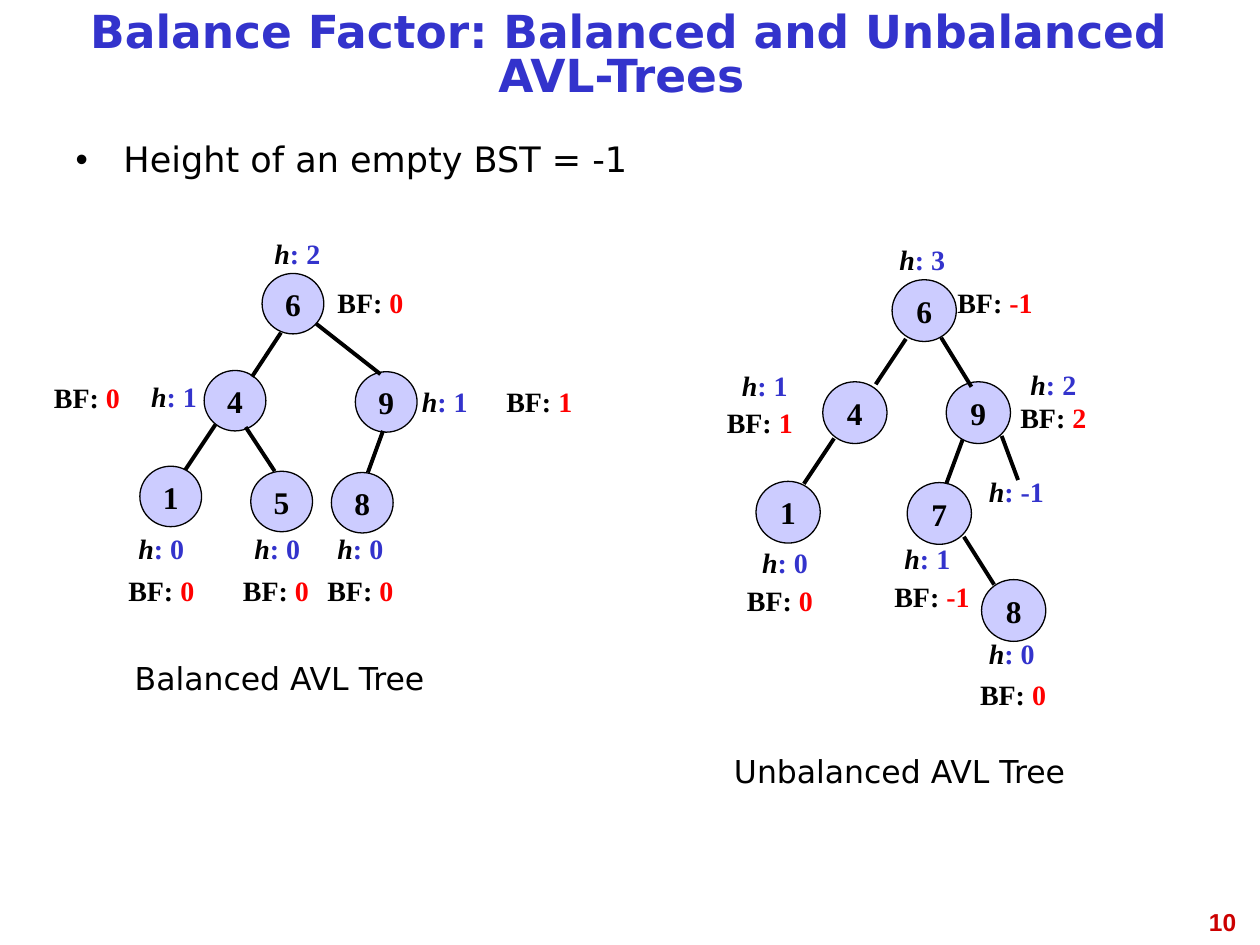
from dataclasses import dataclass
from typing import NamedTuple

from lxml import etree
from pptx import Presentation
from pptx import util as u
from pptx.dml.color import RGBColor
from pptx.enum import shapes, text
from pptx.oxml.ns import qn

COLUMNS, ROWS = 100, 75  # grid over the whole slide
LABEL_ROWS = 3.7


@dataclass(frozen=True)
class Theme:
    ink: RGBColor = RGBColor(0, 0, 0)
    blue: RGBColor = RGBColor(0x33, 0x33, 0xCC)
    red: RGBColor = RGBColor(0xFF, 0, 0)
    page_number: RGBColor = RGBColor(0xCC, 0, 0)
    node_fill: RGBColor = RGBColor(0xCC, 0xCC, 0xFF)
    heading_font: str = "DejaVu Sans"
    tree_font: str = "Times New Roman"
    number_font: str = "Arial"
    title_size: int = 26
    body_size: int = 20
    node_size: int = 18
    label_size: int = 16
    number_size: int = 14
    outline: float = 0.75
    edge: float = 2.25


THEME = Theme()


class Area(NamedTuple):
    column: float
    row: float
    columns: float
    rows: float


class Node(NamedTuple):
    key: int
    column: float
    row: float


class Edge(NamedTuple):
    start_column: float
    start_row: float
    end_column: float
    end_row: float


class Label(NamedTuple):
    value: int
    column: float
    row: float


@dataclass(frozen=True)
class Tree:
    caption: str
    caption_area: Area
    node_columns: float
    node_rows: float
    nodes: list[Node]
    edges: list[Edge]
    heights: list[Label]
    factors: list[Label]


BALANCED = Tree(
    "Balanced AVL Tree", Area(7.5, 51.8, 29.4, 4), 4.9, 4.8,
    nodes=[Node(6, 20.8, 21.7), Node(4, 16.2, 29.4), Node(1, 11.1, 37),
           Node(9, 28.2, 29.5), Node(5, 19.9, 37.4), Node(8, 26.3, 37.5)],
    edges=[Edge(22.3, 26.4, 20, 29.9), Edge(25.1, 25.7, 30.2, 29.7),
           Edge(17.1, 33.7, 14.7, 37.3), Edge(19.5, 33.9, 21.8, 37.4),
           Edge(30.4, 34.2, 29.2, 37.5)],
    heights=[Label(0, 10, 41.7), Label(0, 19.2, 41.7), Label(0, 25.8, 41.7),
             Label(1, 11, 29.6), Label(1, 32.5, 30), Label(2, 20.8, 18.3)],
    factors=[Label(0, 9.2, 45), Label(0, 18.3, 45), Label(0, 25, 45),
             Label(0, 3.3, 29.7), Label(1, 39.2, 30), Label(0, 25.8, 22.2)],
)
UNBALANCED = Tree(
    "Unbalanced AVL Tree", Area(56.7, 59.2, 29.4, 4), 5.1, 4.9,
    nodes=[Node(6, 70.8, 22.2), Node(4, 65.3, 30.3), Node(1, 60, 38.2),
           Node(9, 75.1, 30.3), Node(7, 72, 38.3), Node(8, 77.9, 46)],
    edges=[Edge(71.9, 26.9, 69.5, 30.5), Edge(74.7, 26.8, 77.1, 30.7),
           Edge(66.2, 34.8, 63.8, 38.4), Edge(76.4, 34.9, 75.1, 38.4),
           Edge(76.5, 42.6, 78.9, 46.4), Edge(79.5, 34.6, 80.8, 38.1)],
    heights=[Label(0, 59.5, 42.8), Label(1, 70.8, 42.5), Label(0, 77.5, 50),
             Label(1, 57.9, 28.8), Label(-1, 77.5, 37.2), Label(2, 80.8, 28.7),
             Label(3, 70.4, 18.8)],
    factors=[Label(0, 58.3, 45.8), Label(-1, 70, 45.5), Label(0, 76.8, 53.3),
             Label(1, 56.7, 31.7), Label(2, 80, 31.3), Label(-1, 75, 22.2)],
)

deck = Presentation()
deck.slide_width, deck.slide_height = u.Inches(10), u.Inches(7.5)
page = deck.slides.add_slide(deck.slide_layouts[1])


def across(columns: float) -> int:
    return round(deck.slide_width * columns / COLUMNS)


def down(rows: float) -> int:
    return round(deck.slide_height * rows / ROWS)


def frame(area: Area) -> tuple[int, int, int, int]:
    return across(area.column), down(area.row), across(area.columns), down(area.rows)


def set_font(font, name: str, size: float, color: RGBColor, bold: bool = False) -> None:
    font.name, font.size, font.bold = name, u.Pt(size), bold
    font.color.rgb = color


def fill_placeholder(box, area: Area, words: str, anchor):
    """Move a placeholder, write its text and return the paragraph."""
    box.left, box.top, box.width, box.height = frame(area)
    box.text_frame.text = words
    box.text_frame.auto_size = text.MSO_AUTO_SIZE.NONE
    box.text_frame.vertical_anchor = anchor
    para = box.text_frame.paragraphs[0]
    para.space_before = u.Pt(0)
    return para


def add_text(area: Area, words: str = "", align=text.PP_ALIGN.LEFT):
    """Add a wrapping text box and return its paragraph."""
    box = page.shapes.add_textbox(*frame(area))
    box.text_frame.word_wrap = True
    para = box.text_frame.paragraphs[0]
    para.alignment = align
    if words:
        para.add_run().text = words
    return para


def draw_label(label: Label, name: str, separator: str, columns: float,
               color: RGBColor, italic: bool) -> None:
    para = add_text(Area(label.column, label.row, columns, LABEL_ROWS))
    set_font(para.font, THEME.tree_font, THEME.label_size, THEME.ink, bold=True)
    parts = ((name, THEME.ink, italic), (f"{separator}{label.value}", color, False))
    for words, ink, slanted in parts:
        span = para.add_run()
        span.text = words
        set_font(span.font, THEME.tree_font, THEME.label_size, ink, bold=True)
        span.font.italic = slanted


def draw_node(node: Node, columns: float, rows: float) -> None:
    circle = page.shapes.add_shape(
        shapes.MSO_SHAPE.OVAL, *frame(Area(node.column, node.row, columns, rows)))
    circle.shadow.inherit = False
    circle.fill.solid()
    circle.fill.fore_color.rgb = THEME.node_fill
    circle.line.color.rgb = THEME.ink
    circle.line.width = u.Pt(THEME.outline)
    circle.text_frame.word_wrap = False
    circle.text_frame.vertical_anchor = text.MSO_ANCHOR.MIDDLE
    para = circle.text_frame.paragraphs[0]
    para.alignment = text.PP_ALIGN.CENTER
    para.add_run().text = str(node.key)
    set_font(para.font, THEME.tree_font, THEME.node_size, THEME.ink, bold=True)


def draw_edge(edge: Edge) -> None:
    line = page.shapes.add_connector(
        shapes.MSO_CONNECTOR.STRAIGHT,
        across(edge.start_column), down(edge.start_row),
        across(edge.end_column), down(edge.end_row))
    line.line.color.rgb = THEME.ink
    line.line.width = u.Pt(THEME.edge)
    etree.SubElement(line._element.spPr, qn("a:effectLst"))


def draw_tree(tree: Tree) -> None:
    for node in tree.nodes:
        draw_node(node, tree.node_columns, tree.node_rows)
    for edge in tree.edges:
        draw_edge(edge)
    for label in tree.heights:
        draw_label(label, "h", ": ", 7.5, THEME.blue, italic=True)
    for label in tree.factors:
        draw_label(label, "BF: ", "", 9.2, THEME.red, italic=False)
    caption = add_text(tree.caption_area, tree.caption, text.PP_ALIGN.CENTER)
    set_font(caption.font, THEME.heading_font, THEME.node_size, THEME.ink)


title = fill_placeholder(page.shapes.title, Area(5, 0.8, 89.9, 7.5),
                         "Balance Factor: Balanced and Unbalanced AVL-Trees ",
                         text.MSO_ANCHOR.MIDDLE)
title.alignment = text.PP_ALIGN.CENTER
title.line_spacing = 0.81
set_font(title.font, THEME.heading_font, THEME.title_size, THEME.blue, bold=True)

bullet = fill_placeholder(page.placeholders[1], Area(5, 10.8, 89.9, 4.1),
                          "Height of an empty BST = -1", text.MSO_ANCHOR.TOP)
bullet.alignment = text.PP_ALIGN.JUSTIFY
bullet.line_spacing = 0.9
properties = bullet._p.get_or_add_pPr()
properties.set("marL", str(across(3.8)))
properties.set("indent", str(-across(3.8)))
etree.SubElement(properties, qn("a:buChar"), char="•")
set_font(bullet.font, THEME.heading_font, THEME.body_size, THEME.ink)

for tree in (BALANCED, UNBALANCED):
    draw_tree(tree)

number = add_text(Area(75.8, 71.5, 23.3, 5.2), "10", text.PP_ALIGN.RIGHT)
set_font(number.font, THEME.number_font, THEME.number_size, THEME.page_number, bold=True)

deck.save("out.pptx")
